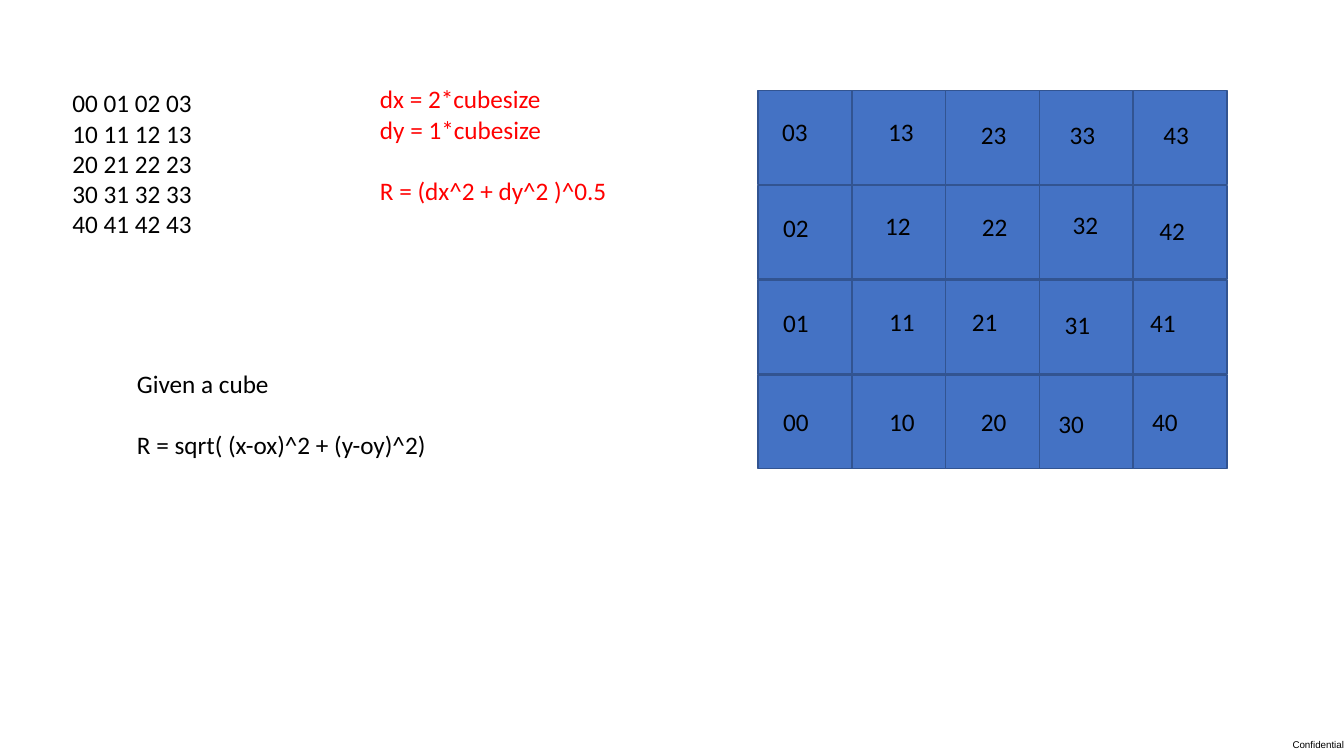
from pptx import Presentation
from pptx.dml.color import RGBColor
from pptx.enum.shapes import MSO_SHAPE as Shape
from pptx.enum.text import MSO_ANCHOR as Anchor, MSO_AUTO_SIZE as AutoSize, PP_ALIGN as Align
from pptx.util import Inches, Pt

COLORS = {"text": "000000", "formula": "FF0000", "cell": "4472C4", "border": "325491"}

GRID_LEFT, GRID_TOP = 7.52, 0.9
COLUMN_STEP, ROW_STEP, CELL_SIZE = 0.93, 0.94, 0.93
COLUMNS, ROWS = 5, 4
LINE_GAP = 22  # one line of 18 point text

# Hand-placed (left, top) of each label: one list per column, from row 0 at the bottom upwards
LABEL_PLACES = [
    [(7.67, 3.98), (7.67, 3.0), (7.67, 2.06), (7.66, 1.1)],
    [(8.72, 3.98), (8.72, 2.99), (8.68, 2.04), (8.71, 1.1)],
    [(9.63, 3.98), (9.54, 2.99), (9.64, 2.05), (9.63, 1.13)],
    [(10.4, 4.0), (10.46, 3.02), (10.54, 2.03), (10.51, 1.13)],
    [(11.33, 3.98), (11.31, 3.0), (11.4, 2.09), (11.44, 1.13)],
]


def color(name):
    """Return the named colour of the slide."""
    return RGBColor.from_string(COLORS[name])


def add_text(slide, lines, left, top, width, height, *, size=18, font="Calibri",
             fill="text", align=Align.LEFT, anchor=Anchor.TOP, margin=None, gap_before=None):
    """Add a text box with one paragraph per line; gap_before is the line that follows a gap."""
    shape = slide.shapes.add_textbox(Inches(left), Inches(top), Inches(width), Inches(height))
    frame = shape.text_frame
    frame.word_wrap = True
    frame.auto_size = AutoSize.SHAPE_TO_FIT_TEXT
    frame.vertical_anchor = anchor
    if margin is not None:
        frame.margin_left = frame.margin_right = Inches(margin)
        frame.margin_top = frame.margin_bottom = Inches(margin)
    frame.text = "\n".join(lines)
    for index, paragraph in enumerate(frame.paragraphs):
        paragraph.alignment = align
        if index == gap_before:
            paragraph.space_before = Pt(LINE_GAP)
        paragraph.font.size = Pt(size)
        paragraph.font.name = font
        paragraph.font.color.rgb = color(fill)


def add_cell(slide, column, row):
    """Add one square of the grid, with row 0 at the top."""
    shape = slide.shapes.add_shape(
        Shape.RECTANGLE,
        Inches(GRID_LEFT + column * COLUMN_STEP), Inches(GRID_TOP + row * ROW_STEP),
        Inches(CELL_SIZE), Inches(CELL_SIZE))
    shape.shadow.inherit = False
    shape.fill.solid()
    shape.fill.fore_color.rgb = color("cell")
    shape.line.color.rgb = color("border")
    shape.line.width = Pt(1)


def add_grid(slide):
    """Add the squares and, above them, their column-row labels."""
    for row in range(ROWS):
        for column in range(COLUMNS):
            add_cell(slide, column, row)
    for column, places in enumerate(LABEL_PLACES):
        for row, (left, top) in enumerate(places):
            add_text(slide, [f"{column}{row}"], left, top, 0.63, 0.4)


def main():
    """Build the slide and save it."""
    presentation = Presentation()
    presentation.slide_width, presentation.slide_height = Inches(13.33), Inches(7.5)
    slide = presentation.slides.add_slide(presentation.slide_layouts[6])

    add_text(slide, ["Confidential"], 12.57, 7.28, 0.76, 0.22, size=7, font="Arial",
             align=Align.RIGHT, anchor=Anchor.MIDDLE, margin=0)
    index_lines = [" ".join(f"{column}{row}" for row in range(ROWS)) for column in range(COLUMNS)]
    add_text(slide, index_lines, 0.62, 0.82, 5.42, 2.22)
    add_grid(slide)
    add_text(slide, ["dx = 2*cubesize", "dy = 1*cubesize", "R = (dx^2 + dy^2 )^0.5"],
             3.67, 0.78, 2.48, 1.31, fill="formula", gap_before=2)
    add_text(slide, ["Given a cube", "R = sqrt( (x-ox)^2 + (y-oy)^2)"],
             1.26, 3.6, 3.63, 1.31, gap_before=1)

    presentation.save("out.pptx")


main()
